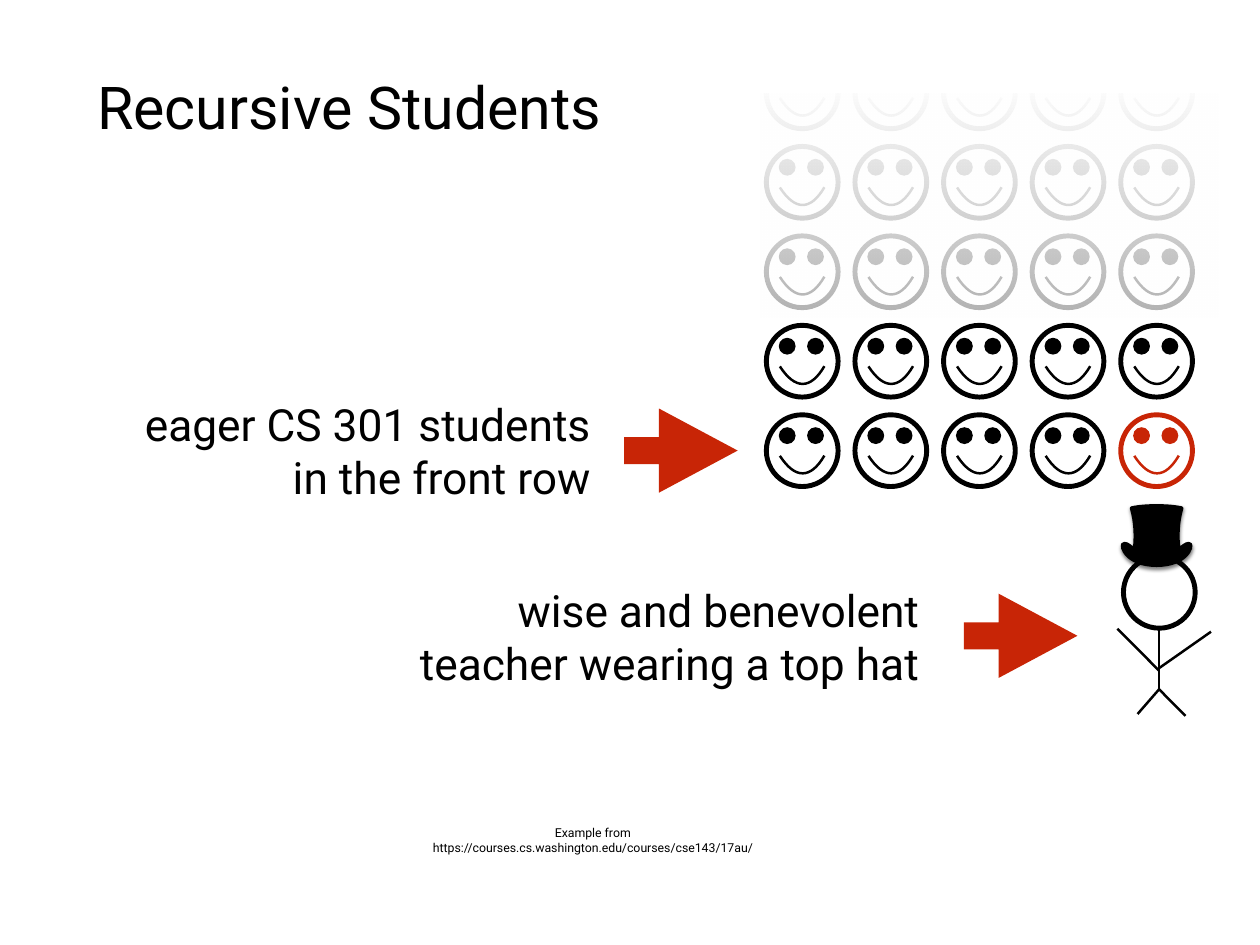
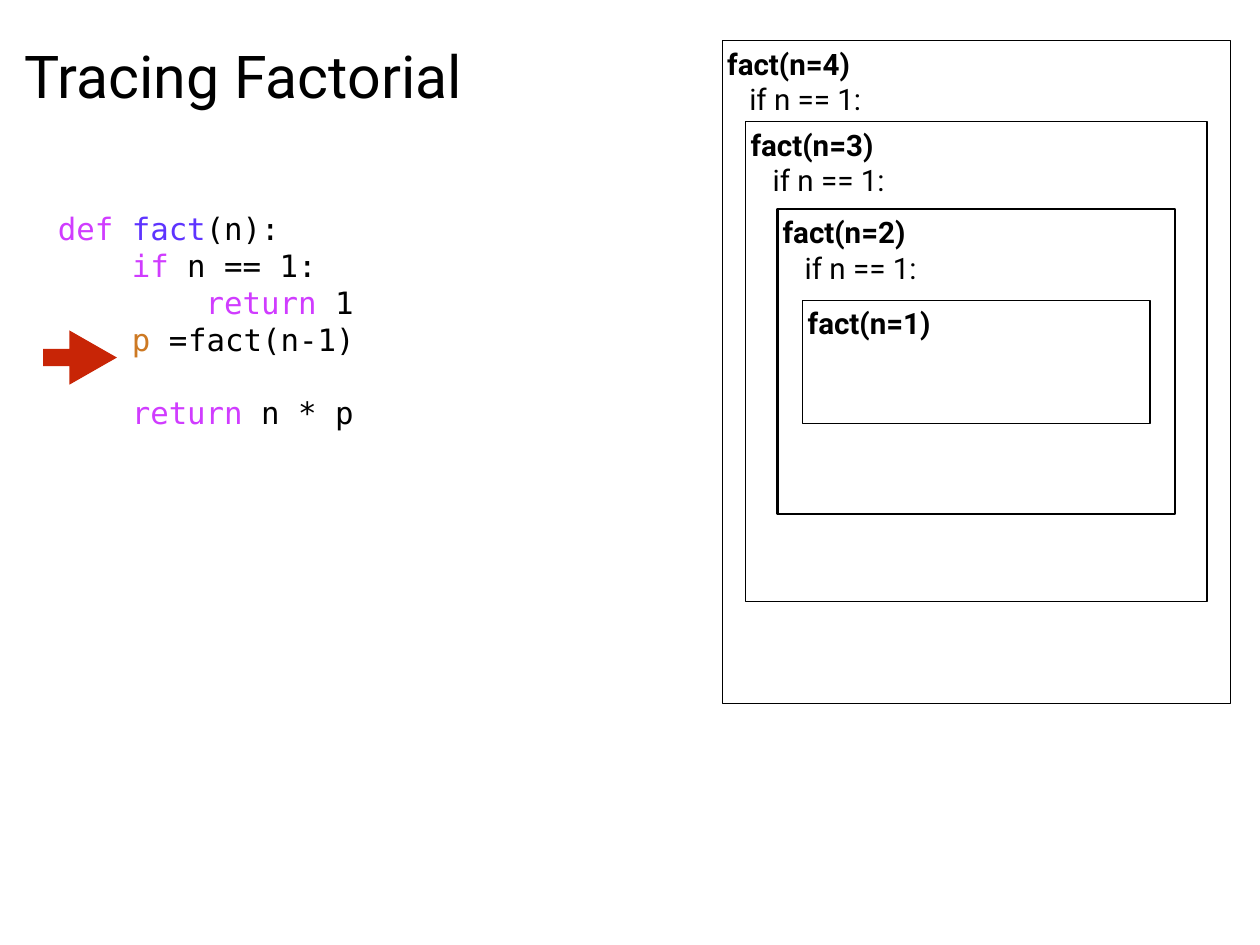
"""Build two slides on recursion: a row of students and a factorial trace."""
from lxml.etree import SubElement
from pptx import Presentation
from pptx.dml.color import RGBColor
from pptx.enum.shapes import MSO_CONNECTOR, MSO_SHAPE
from pptx.enum.text import MSO_ANCHOR, MSO_AUTO_SIZE, PP_ALIGN
from pptx.oxml.ns import qn
from pptx.util import Pt

COLORS = {
    "black": "000000", "white": "FFFFFF", "red": "C82506",
    "keyword": "D03CFF", "function": "5E34FF", "variable": "CD7923",
}


def write(tf, lines, size, font="Roboto", color="black", bold=False,
          align=PP_ALIGN.LEFT, anchor=MSO_ANCHOR.MIDDLE):
    """Fill a frame; a line is a string or a list of (text, colour) runs."""
    tf.word_wrap = True
    tf.auto_size = MSO_AUTO_SIZE.NONE
    tf.vertical_anchor = anchor
    tf.margin_left = tf.margin_right = tf.margin_top = tf.margin_bottom = Pt(4)
    for i, line in enumerate(lines):
        p = tf.add_paragraph() if i else tf.paragraphs[0]
        p.alignment = align
        for text, run_color in [(line, color)] if isinstance(line, str) else line:
            if text == "\n":
                p.add_line_break()
                SubElement(p._p[-1], qn("a:rPr"), sz=str(size * 100))
                continue
            r = p.add_run()
            r.text = text
            r.font.name = font
            r.font.size = Pt(size)
            r.font.bold = bold
            r.font.color.rgb = RGBColor.from_string(COLORS[run_color])


def paint(sp, fill=None, line=None, width=1):
    """Give a shape a flat fill and outline, without a shadow."""
    sp.shadow.inherit = False
    if fill:
        sp.fill.solid()
        sp.fill.fore_color.rgb = RGBColor.from_string(COLORS[fill])
    else:
        sp.fill.background()
    if line:
        sp.line.color.rgb = RGBColor.from_string(COLORS[line])
        sp.line.width = Pt(width)
    else:
        sp.line.fill.background()
    return sp


prs = Presentation()
prs.slide_width, prs.slide_height = Pt(1024), Pt(768)

slides = []
for title, box in [
    ("Recursive Students", (75, 35.5, 874, 101.5)),
    ("Tracing Factorial", (16, 10, 466.5, 101.5)),
]:
    s = prs.slides.add_slide(prs.slide_layouts[5])
    sp = s.shapes.title
    sp.left, sp.top, sp.width, sp.height = map(Pt, box)
    write(sp.text_frame, [title], 48)
    slides.append(s)
students, trace = slides

FACE, EYE = 58.3, 13.7
ROWS, COLS = 5, 5
MOUTH = [(47.2, 33.2), (36, 52.4), (23.4, 52.4), (11, 33.4)]
curves = []
for row in range(ROWS):
    front = row == ROWS - 1
    parent = None if front else students.shapes.add_group_shape().shapes
    for col in range(COLS):
        x, y = 622.8 + 72 * col, 46.3 + 72.7 * row
        chosen = front and col == COLS - 1
        color = "red" if chosen else "black"
        if front:
            parent = students.shapes if chosen else students.shapes.add_group_shape().shapes
        face = parent.add_shape(MSO_SHAPE.OVAL, Pt(x), Pt(y), Pt(FACE), Pt(FACE))
        paint(face, line=color, width=4)
        for eye_x in (10.1, 33.1) if row else ():
            eye = parent.add_shape(MSO_SHAPE.OVAL, Pt(x + eye_x), Pt(y + 10.1), Pt(EYE), Pt(EYE))
            paint(eye, fill=color)
        mouth = [(x + dx, y + dy) for dx, dy in MOUTH]
        bounds = (x + 11, y + 33.2, x + 47.2, y + 47.6)
        curves.append((parent, mouth, bounds, {"line": color, "width": 2}))

fade = students.shapes.add_shape(MSO_SHAPE.RECTANGLE, Pt(617.8), Pt(69.8), Pt(372.2), Pt(188))
paint(fade)
fade.fill.gradient()
fade.fill.gradient_angle = 270
for position, stop in enumerate(fade.fill.gradient_stops):
    stop.position = position
    stop.color.rgb = RGBColor.from_string(COLORS["white"])
last_stop = list(fade._element.iter(qn("a:srgbClr")))[-1]
SubElement(last_stop, qn("a:alpha")).set("val", "70000")
cover = students.shapes.add_shape(MSO_SHAPE.RECTANGLE, Pt(600), Pt(4.3), Pt(391.7), Pt(71.3))
paint(cover, fill="white")

teacher = students.shapes.add_group_shape().shapes
head = teacher.add_shape(MSO_SHAPE.OVAL, Pt(913), Pt(452.2), Pt(FACE), Pt(FACE))
paint(head, line="black", width=4)
for limb in [
    (942, 561, 942, 511),
    (942, 545, 908, 511),
    (984.2, 513.4, 942, 543),
    (963.4, 581.8, 942, 560.2),
    (924.5, 580.3, 942, 560.2),
]:
    c = teacher.add_connector(MSO_CONNECTOR.STRAIGHT, *map(Pt, limb))
    c.line.color.rgb = RGBColor.from_string(COLORS["black"])
    c.line.width = Pt(2)
    SubElement(c._element.spPr, qn("a:effectLst"))

hat_points = [
    (940, 409.7), (932.4, 409.7), (925.6, 410.2), (919.4, 411.5),
    (918.7, 411.8), (918, 412.6), (918.2, 413.3),
    (921.6, 424.1), (921.6, 436.3), (920.9, 443.5),
    (920.9, 443.8), (920.6, 443.8), (920.2, 443.5),
    (918.7, 442.1), (914.4, 438.5), (911.5, 441.4),
    (908.6, 445), (915.1, 460.8), (940, 460.8),
    (964.9, 460.8), (971.4, 445), (968.5, 441.4),
    (965.6, 438.5), (961.3, 442.1), (959.8, 443.5),
    (959.4, 443.8), (959.1, 443.8), (959.1, 443.5),
    (958.4, 436.3), (958.4, 424.1), (961.8, 413.3),
    (962, 412.6), (961.3, 411.8), (960.6, 411.5),
    (954.4, 410.2), (947.6, 409.7), (940, 409.7),
]
curves.append((students.shapes, hat_points, (910.8, 409.7, 969.2, 460.8), {"fill": "black"}))

for parent, points, (left, top, right, bottom), style in curves:
    builder = parent.build_freeform(Pt(left), Pt(top))
    builder.add_line_segments([(Pt(right), Pt(bottom))], close=False)
    curve = paint(builder.convert_to_shape(), **style)
    outline = next(curve._element.iter(qn("a:path")))
    for segment in list(outline):
        outline.remove(segment)
    for i, (x, y) in enumerate(points):
        if i == 0:
            segment = SubElement(outline, qn("a:moveTo"))
        elif i % 3 == 1:
            segment = SubElement(outline, qn("a:cubicBezTo"))
        SubElement(segment, qn("a:pt"), x=str(int(Pt(x - left))), y=str(int(Pt(y - top))))
    if points[0] == points[-1]:
        SubElement(outline, qn("a:close"))

hat = curve
shadow = SubElement(hat._element.spPr.find(qn("a:effectLst")), qn("a:outerShdw"),
                    blurRad=str(Pt(3)), dist=str(Pt(2)), dir="5400000", rotWithShape="0")
shadow_color = SubElement(shadow, qn("a:srgbClr"), val=COLORS["black"])
SubElement(shadow_color, qn("a:alpha"), val="50000")

source = [("Example from", "black"), ("\n", "black"),
          ("https://courses.cs.washington.edu/courses/cse143/17au/", "black")]
for lines, box, size, align in [
    ([source], (341.8, 664.6, 280, 36), 10, PP_ALIGN.CENTER),
    (["eager CS 301 students", "in the front row"], (94.5, 319, 389.5, 94.3), 36, PP_ALIGN.RIGHT),
    (["wise and benevolent", "teacher wearing a top hat"], (329.8, 470.2, 421.2, 94.3), 36, PP_ALIGN.RIGHT),
]:
    sp = students.shapes.add_textbox(*map(Pt, box))
    write(sp.text_frame, lines, size, align=align)

code = [
    [("def ", "keyword"), ("fact", "function"), ("(n):", "black")],
    [("    ", "black"), ("if", "keyword"), (" n == 1:", "black")],
    [("        ", "black"), ("return", "keyword"), (" 1", "black")],
    [("    ", "black"), ("p", "variable"), (" =\tfact(n-1)", "black")],
    [("    ", "black"), ("return", "keyword"), (" n * p", "black")],
]
sp = trace.shapes.add_textbox(Pt(43), Pt(183.6), Pt(492.5), Pt(153.4))
write(sp.text_frame, code, 25, font="DejaVu Sans Mono")
call, result = sp.text_frame.paragraphs[-2:]
tabs = SubElement(call._p.get_or_add_pPr(), qn("a:tabLst"))
SubElement(tabs, qn("a:tab"), pos=str(Pt(106)), algn="l")
result.space_before = Pt(30)

for n, box, width in [
    (4, (587, 33, 413, 539.1), 1),
    (3, (606, 99, 375, 390), 1),
    (2, (632, 170, 323, 247.7), 2),
    (1, (652.4, 244, 282.2, 100), 1),
]:
    frame = trace.shapes.add_shape(MSO_SHAPE.RECTANGLE, *map(Pt, box))
    paint(frame, fill="white", line="black", width=width)
    lines = [f"fact(n={n})"] + (["if n == 1:"] if n > 1 else [])
    write(frame.text_frame, lines, 24, bold=True, anchor=MSO_ANCHOR.TOP)
    for p in frame.text_frame.paragraphs[1:]:
        p._p.get_or_add_pPr().set("indent", str(Pt(18)))
        p.runs[0].font.bold = False

for s, box, head_ratio in [
    (students, (507.3, 332, 92.2, 68.4), 0.935),
    (students, (783.4, 482.5, 92.2, 68.4), 0.935),
    (trace, (35, 268.6, 60, 44), 0.876),
]:
    arrow = s.shapes.add_shape(MSO_SHAPE.RIGHT_ARROW, *map(Pt, box))
    arrow.adjustments[0], arrow.adjustments[1] = 0.32, head_ratio
    paint(arrow, fill="red")

prs.save("out.pptx")
